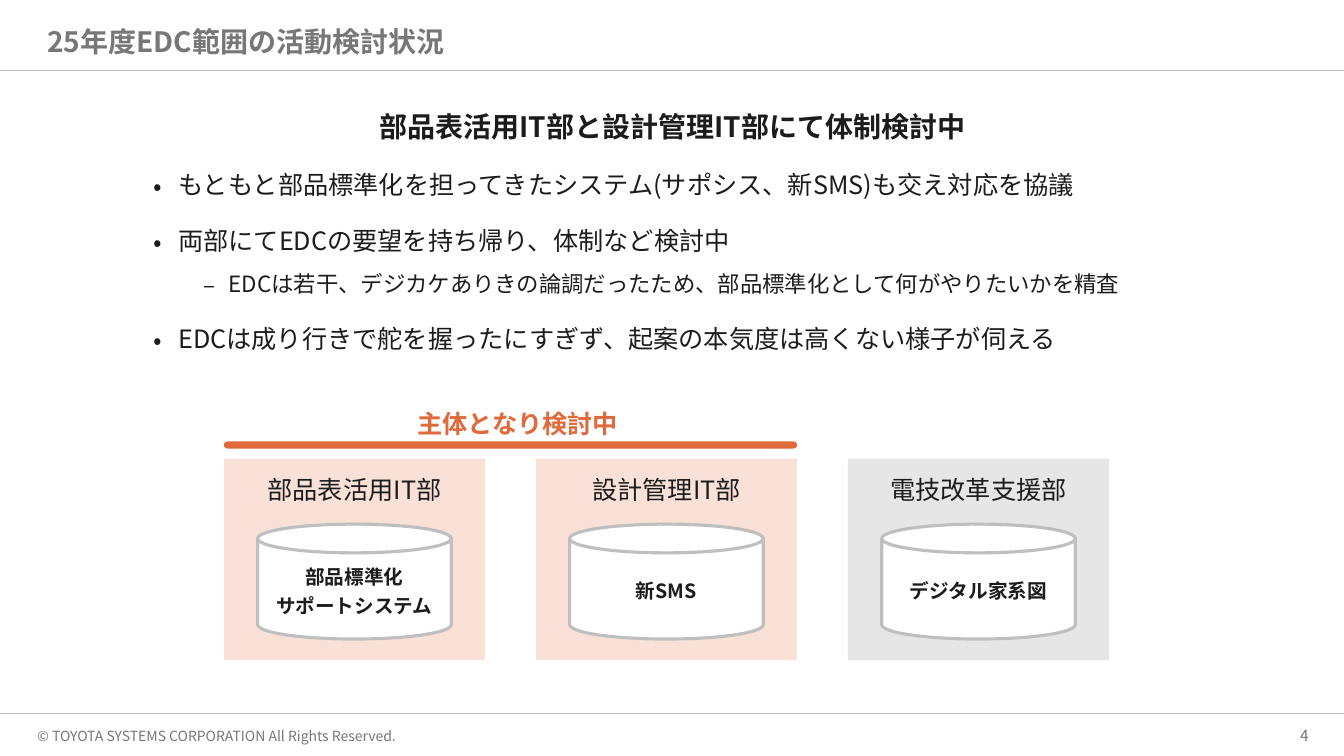
from lxml import etree
from pptx import Presentation
from pptx.dml.color import RGBColor
from pptx.enum.shapes import MSO_CONNECTOR, MSO_SHAPE
from pptx.enum.text import MSO_ANCHOR, PP_ALIGN
from pptx.oxml.ns import qn
from pptx.util import Inches, Pt

LEFT, CENTER, RIGHT = PP_ALIGN.LEFT, PP_ALIGN.CENTER, PP_ALIGN.RIGHT
TOP, MIDDLE, BOTTOM = MSO_ANCHOR.TOP, MSO_ANCHOR.MIDDLE, MSO_ANCHOR.BOTTOM
FONT = "Noto Sans CJK JP"
INK = RGBColor(0x1C, 0x1C, 0x1C)
MUTED = RGBColor(0x77, 0x77, 0x77)
RULE = RGBColor(0xBF, 0xBF, 0xBF)
ORANGE = RGBColor(0xE0, 0x6A, 0x3B)
PEACH = RGBColor(0xF9, 0xE1, 0xD8)
PALE = RGBColor(0xE7, 0xE6, 0xE6)
WHITE = RGBColor(0xFF, 0xFF, 0xFF)

SLIDE_WIDTH, SLIDE_HEIGHT = 13.33, 7.5
MARGIN = 0.37
CARD_LEFT, CARD_TOP, CARD_WIDTH, CARD_HEIGHT, CARD_PITCH = 2.22, 4.55, 2.59, 2, 3.095
CAN_WIDTH, CAN_HEIGHT, CAN_DROP = 1.92, 1.14, 0.65

presentation = Presentation()
presentation.slide_width = Inches(SLIDE_WIDTH)
presentation.slide_height = Inches(SLIDE_HEIGHT)
slide = presentation.slides.add_slide(presentation.slide_layouts[6])


def write(paragraph, text, size, color, bold=False, align=LEFT, spacing=1.0):
    paragraph.text = text
    paragraph.alignment = align
    paragraph.line_spacing = spacing
    for run in paragraph.runs:
        run.font.name = FONT
        run.font.size = Pt(size)
        run.font.bold = bold
        run.font.color.rgb = color
        latin = run.font._element.find(qn("a:latin"))
        east_asian = etree.Element(qn("a:ea"), typeface=FONT)
        latin.addnext(east_asian)
    for line_break in paragraph._p.findall(qn("a:br")):
        etree.SubElement(line_break, qn("a:rPr"), sz=str(size * 100))


def add_block(kind, left, top, width, height, fill=None, anchor=TOP, side=0.1, inset=0.05):
    box = [Inches(length) for length in (left, top, width, height)]
    if kind is None:
        shape = slide.shapes.add_textbox(*box)
    else:
        shape = slide.shapes.add_shape(kind, *box)
        shape.shadow.inherit = False
        shape.fill.solid()
        shape.fill.fore_color.rgb = fill
        shape.line.fill.background()
    frame = shape.text_frame
    frame.word_wrap = True
    frame.vertical_anchor = anchor
    frame.margin_left = frame.margin_right = Inches(side)
    frame.margin_top, frame.margin_bottom = Inches(inset), Inches(0.05)
    return shape


for rule_top in (0.7, 7.08):
    rule = slide.shapes.add_connector(
        MSO_CONNECTOR.STRAIGHT, 0, Inches(rule_top), presentation.slide_width, Inches(rule_top))
    rule.line.color.rgb = RULE
    rule.line.width = Pt(1)
    etree.SubElement(rule._element.spPr, qn("a:effectLst"))

copyright_line = add_block(None, MARGIN, 7.17, 3.99, 0.27, side=0)
copyright_line.text_frame.word_wrap = False
write(copyright_line.text_frame.paragraphs[0],
      "© TOYOTA SYSTEMS CORPORATION All Rights Reserved.", 10, MUTED)

page_number = add_block(None, 9.98, 7.15, 3, 0.29, anchor=BOTTOM, side=0)
write(page_number.text_frame.paragraphs[0], "4", 11, MUTED, align=RIGHT)

title = add_block(None, MARGIN, 0.23, SLIDE_WIDTH - 2 * MARGIN, 0.41, anchor=MIDDLE)
write(title.text_frame.paragraphs[0], "25年度EDC範囲の活動検討状況", 20, MUTED, bold=True, spacing=0.9)

body = add_block(None, 0.92, 0.94, 11.5, 5.85).text_frame
write(body.paragraphs[0], "部品表活用IT部と設計管理IT部にて体制検討中", 20, INK,
      bold=True, align=CENTER, spacing=1.3)

LEVELS = {1: ("•", 0.75, 18, 12), 2: ("‒", 1.25, 16, 5)}
BULLETS = [
    (1, "もともと部品標準化を担ってきたシステム(サポシス、新SMS)も交え対応を協議"),
    (1, "両部にてEDCの要望を持ち帰り、体制など検討中"),
    (2, "EDCは若干、デジカケありきの論調だったため、部品標準化として何がやりたいかを精査"),
    (1, "EDCは成り行きで舵を握ったにすぎず、起案の本気度は高くない様子が伺える"),
]
for level, text in BULLETS:
    mark, indent, size, space_before = LEVELS[level]
    paragraph = body.add_paragraph()
    paragraph.level = level
    write(paragraph, text, size, INK, spacing=1.3)
    paragraph.space_before = Pt(space_before)
    properties = paragraph._p.get_or_add_pPr()
    properties.set("marL", str(Inches(indent)))
    properties.set("indent", str(Inches(-0.25)))
    etree.SubElement(properties, qn("a:buFont"), typeface=FONT)
    etree.SubElement(properties, qn("a:buChar"), char=mark)

DEPARTMENTS = [
    ("部品表活用IT部", "部品標準化\nサポートシステム", PEACH),
    ("設計管理IT部", "新SMS", PEACH),
    ("電技改革支援部", "デジタル家系図", PALE),
]
for column, (department, system, fill) in enumerate(DEPARTMENTS):
    left = CARD_LEFT + column * CARD_PITCH
    card = add_block(MSO_SHAPE.RECTANGLE, left, CARD_TOP, CARD_WIDTH, CARD_HEIGHT, fill, inset=0.16)
    write(card.text_frame.paragraphs[0], department, 18, INK, align=CENTER)
    can = add_block(MSO_SHAPE.CAN, left + (CARD_WIDTH - CAN_WIDTH) / 2, CARD_TOP + CAN_DROP,
                    CAN_WIDTH, CAN_HEIGHT, WHITE, anchor=MIDDLE, side=0.08)
    can.line.color.rgb = RULE
    can.line.width = Pt(2.25)
    write(can.text_frame.paragraphs[0], system, 14, INK, bold=True, align=CENTER, spacing=1.2)

bar = add_block(MSO_SHAPE.ROUNDED_RECTANGLE, CARD_LEFT, 4.38, CARD_PITCH + CARD_WIDTH, 0.07, ORANGE)
bar.adjustments[0] = 0.5

bar_label = add_block(None, 4.04, 4, 2.26, 0.4)
write(bar_label.text_frame.paragraphs[0], "主体となり検討中", 18, ORANGE, bold=True)

presentation.save("out.pptx")
